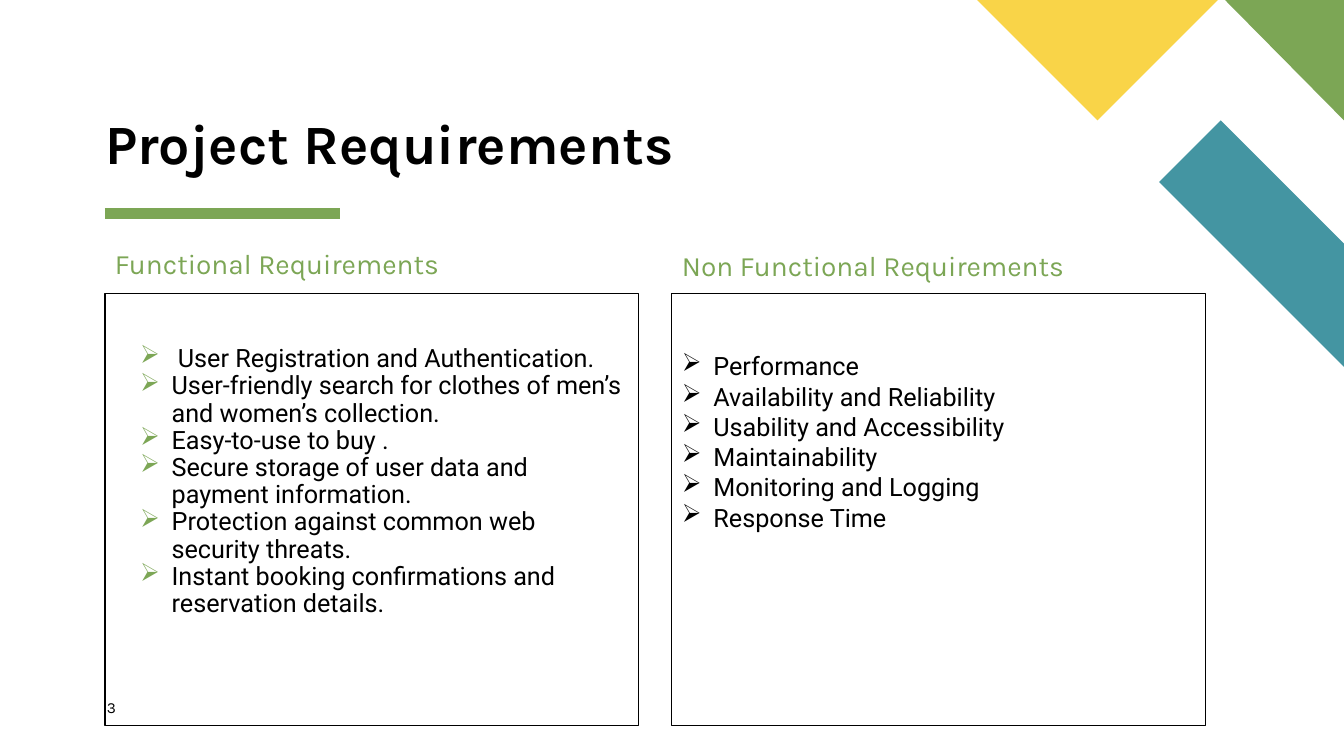
from dataclasses import dataclass

from lxml.etree import SubElement
from pptx import Presentation
from pptx.dml.color import RGBColor
from pptx.enum.shapes import MSO_CONNECTOR, MSO_SHAPE
from pptx.enum.text import MSO_ANCHOR, MSO_AUTO_SIZE, PP_ALIGN
from pptx.oxml.ns import qn
from pptx.slide import Slide
from pptx.util import Pt

COLORS = {
    "green": "7CA655",
    "teal": "4495A2",
    "yellow": "F9D448",
    "black": "000000",
}
PANEL_TOP, PANEL_WIDTH, PANEL_HEIGHT = 209.5, 381, 309


@dataclass
class Polygon:
    color: str
    points: list[tuple[int, int]]


@dataclass
class Label:
    text: str
    left: float
    top: float
    width: float
    height: float
    size: float
    color: str = "black"
    bold: bool = False
    margins: tuple[float, float] = (0, 0)
    anchor: MSO_ANCHOR = MSO_ANCHOR.TOP
    line_spacing: float = 0.9


@dataclass
class Panel:
    left: float
    top_margin: float
    indent: float
    hanging: float
    line_spacing: float
    bullet_color: str
    items: list[str]


POLYGONS = [
    Polygon("teal", [(960, 262), (960, 174), (872, 86), (828, 130)]),
    Polygon("green", [(960, 86), (960, 0), (875, 0)]),
    Polygon("yellow", [(698, 0), (784, 86), (870, 0)]),
]

LABELS = [
    Label("Project Requirements", 75, 92.2, 455, 34, 39.6, bold=True, anchor=MSO_ANCHOR.BOTTOM),
    Label("Functional Requirements", 75, 175.5, PANEL_WIDTH, 34, 20, "green", margins=(7.2, 3.6)),
    Label("Non Functional Requirements", 480, 176.5, 405, 36, 20, "green", margins=(7.2, 3.6)),
    Label("3", 76.3, 498.5, 41, 19.5, 11, line_spacing=1),
]

PANELS = [
    Panel(75, 37.5, 40.5, 22.5, 0.9, "green", [
        " User Registration and Authentication.",
        "User-friendly search for clothes of men’s and women’s collection.",
        "Easy-to-use to buy .",
        "Secure storage of user data and payment information.",
        "Protection against common web security threats.",
        "Instant booking confirmations and reservation details.",
    ]),
    Panel(480, 41, 22.5, 22.5, 1, "black", [
        "Performance",
        "Availability and Reliability",
        "Usability and Accessibility",
        "Maintainability",
        "Monitoring and Logging",
        "Response Time",
    ]),
]


def color(name: str) -> RGBColor:
    return RGBColor.from_string(COLORS[name])


def draw_polygon(slide: Slide, polygon: Polygon) -> None:
    start, *others = polygon.points
    builder = slide.shapes.build_freeform(*start, scale=Pt(1))
    builder.add_line_segments(others, close=True)
    shape = builder.convert_to_shape()
    shape.shadow.inherit = False
    shape.fill.solid()
    shape.fill.fore_color.rgb = color(polygon.color)
    shape.line.fill.background()


def draw_title_rule(slide: Slide) -> None:
    rule = slide.shapes.add_connector(
        MSO_CONNECTOR.STRAIGHT, Pt(75), Pt(152.8), Pt(243), Pt(152.8))
    rule.line.color.rgb = color("green")
    rule.line.width = Pt(8)
    SubElement(rule._element.spPr, qn("a:effectLst"))


def draw_label(slide: Slide, label: Label) -> None:
    shape = slide.shapes.add_textbox(
        Pt(label.left), Pt(label.top), Pt(label.width), Pt(label.height))
    frame = shape.text_frame
    frame.word_wrap = True
    frame.auto_size = MSO_AUTO_SIZE.NONE
    frame.vertical_anchor = label.anchor
    frame.margin_left = frame.margin_right = Pt(label.margins[0])
    frame.margin_top = frame.margin_bottom = Pt(label.margins[1])
    paragraph = frame.paragraphs[0]
    paragraph.text = label.text
    paragraph.line_spacing = label.line_spacing
    paragraph.font.name = "Karla"
    paragraph.font.size = Pt(label.size)
    paragraph.font.bold = label.bold
    paragraph.font.color.rgb = color(label.color)


def draw_panel(slide: Slide, panel: Panel) -> None:
    shape = slide.shapes.add_shape(
        MSO_SHAPE.RECTANGLE, Pt(panel.left), Pt(PANEL_TOP), Pt(PANEL_WIDTH), Pt(PANEL_HEIGHT))
    shape.shadow.inherit = False
    shape.fill.background()
    shape.line.color.rgb = color("black")
    shape.line.width = Pt(0.75)
    frame = shape.text_frame
    frame.word_wrap = True
    frame.vertical_anchor = MSO_ANCHOR.TOP
    frame.margin_top = Pt(panel.top_margin)
    for index, item in enumerate(panel.items):
        paragraph = frame.add_paragraph() if index else frame.paragraphs[0]
        paragraph.text = item
        paragraph.alignment = PP_ALIGN.LEFT
        paragraph.line_spacing = panel.line_spacing
        # Hanging arrow bullet
        properties = paragraph._p.get_or_add_pPr()
        properties.set("marL", str(Pt(panel.indent)))
        properties.set("indent", str(-Pt(panel.hanging)))
        bullet_color = SubElement(properties, qn("a:buClr"))
        SubElement(bullet_color, qn("a:srgbClr"), val=COLORS[panel.bullet_color])
        SubElement(properties, qn("a:buChar"), char="➢")
        paragraph.font.name = "Roboto"
        paragraph.font.size = Pt(18)
        paragraph.font.color.rgb = color("black")


def main() -> None:
    presentation = Presentation()
    presentation.slide_width = Pt(960)
    presentation.slide_height = Pt(540)
    slide = presentation.slides.add_slide(presentation.slide_layouts[6])

    # Corner decoration and rule under the title
    draw_title_rule(slide)
    for polygon in POLYGONS:
        draw_polygon(slide, polygon)

    # Requirement lists, then title, headings and page number
    for panel in PANELS:
        draw_panel(slide, panel)
    for label in LABELS:
        draw_label(slide, label)

    presentation.save("out.pptx")


if __name__ == "__main__":
    main()
